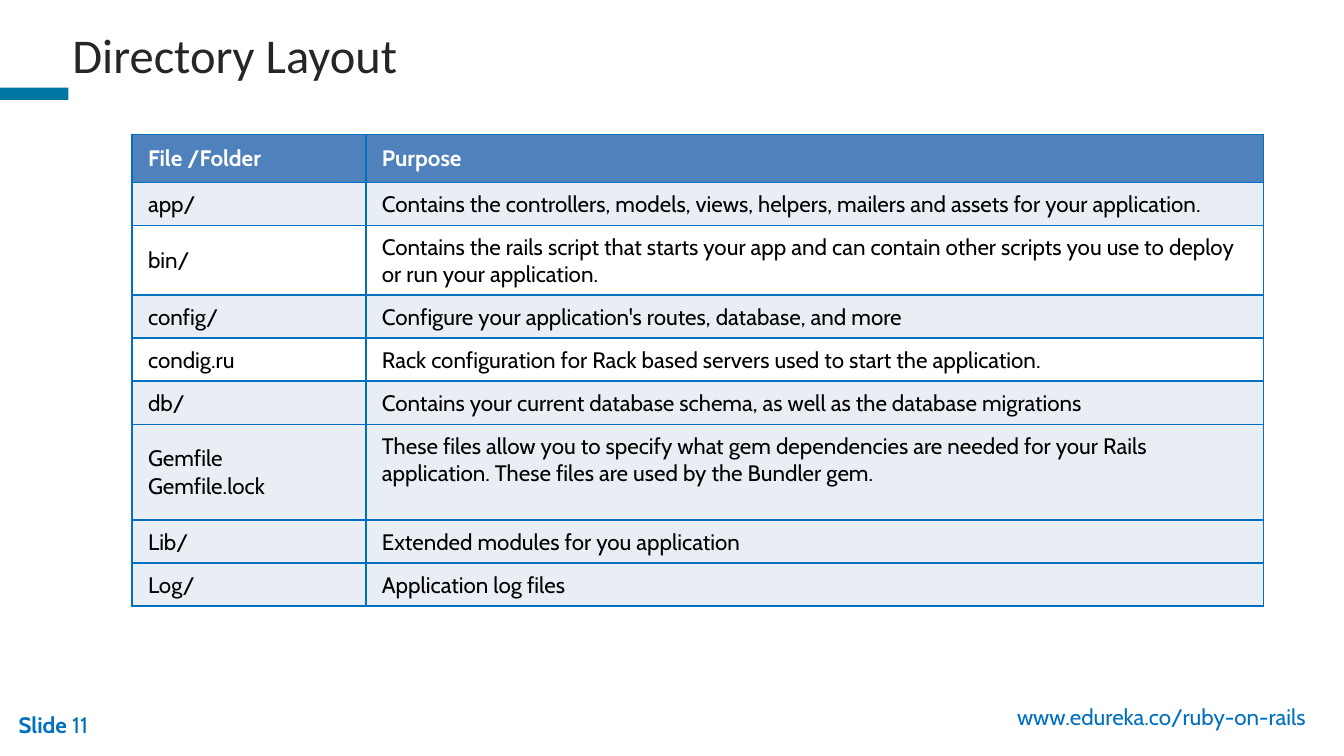
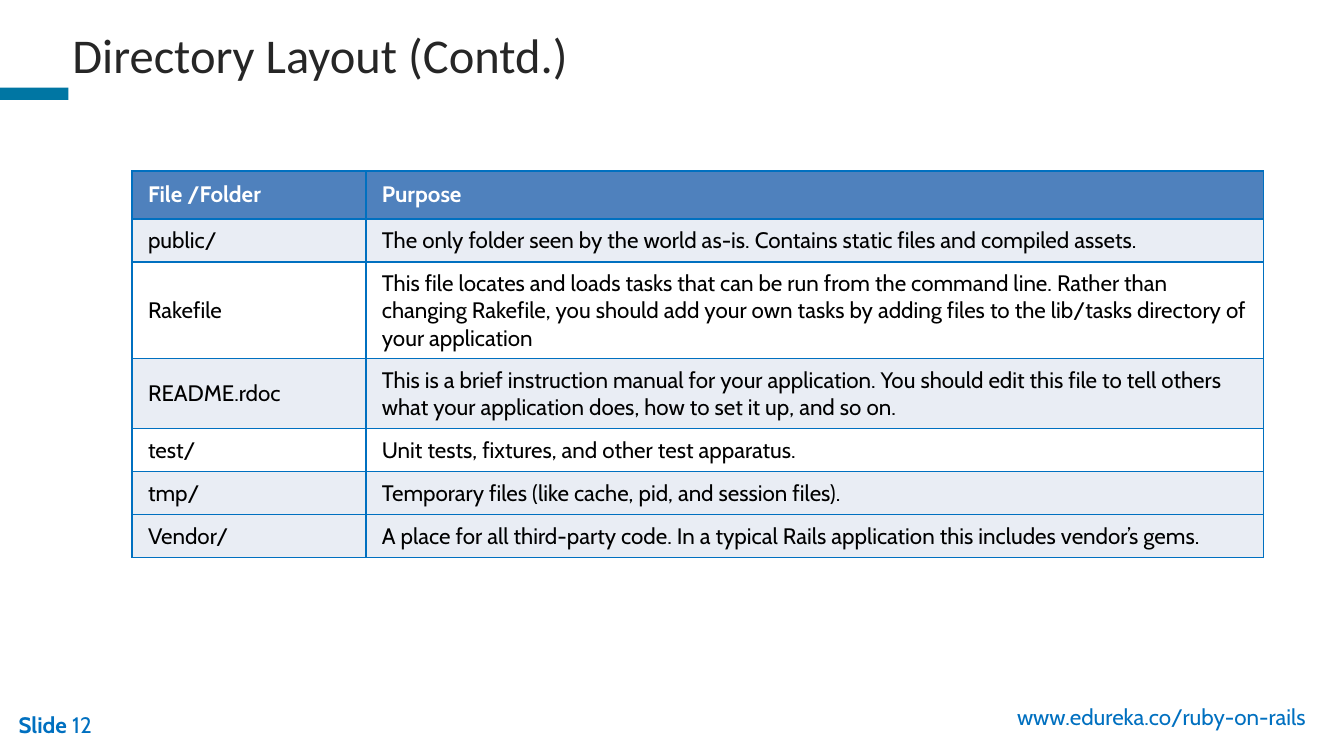
from lxml.etree import SubElement
from pptx import Presentation
from pptx.dml.color import RGBColor
from pptx.enum.shapes import MSO_SHAPE
from pptx.enum.text import MSO_ANCHOR, MSO_AUTO_SIZE
from pptx.oxml.ns import qn
from pptx.util import Pt

WHITE = RGBColor(0xFF, 0xFF, 0xFF)
BLACK = RGBColor(0x00, 0x00, 0x00)
TITLE_GREY = RGBColor(0x26, 0x26, 0x26)
TEAL = RGBColor(0x00, 0x76, 0xA3)
BLUE = RGBColor(0x00, 0x70, 0xC0)
HEADER_BLUE = RGBColor(0x4F, 0x81, 0xBD)
PALE = RGBColor(0xE9, 0xED, 0xF4)

TITLE_FONT, BODY_FONT = "Calibri", "Cabin"
SLIDE_W, SLIDE_H = 720, 405
TITLE_BOX = (31.7, 8.6, 368, 41)
BAR_BOX = (0, 47, 36.7, 6.5)
NUMBER_BOX = (2.9, 377.3, 113.8, 21.6)
SITE_BOX = (537.8, 373, 182.2, 21.6)
TABLE_LEFT, COL_WIDTHS = 70.7, (125.3, 481)
HEADER_H, ROW_H, TALL_ROW_H = 25.7, 23, 51.4
WHITE_ROWS = (2, 4)

HEADINGS = ("File /Folder", "Purpose")
FOLDERS = [
    ("app/", "Contains the controllers, models, views, helpers, mailers and assets for your application."),
    ("bin/", "Contains the rails script that starts your app and can contain other scripts "
             "you use to deploy or run your application."),
    ("config/", "Configure your application's routes, database, and more"),
    ("condig.ru", "Rack configuration for Rack based servers used to start the application."),
    ("db/", "Contains your current database schema, as well as the database migrations"),
    ("Gemfile\nGemfile.lock", "These files allow you to specify what gem dependencies are needed for your Rails "
                              "application. These files are used by the Bundler gem."),
    ("Lib/", "Extended modules for you application"),
    ("Log/", "Application log files"),
]
MORE_FOLDERS = [
    ("public/", "The only folder seen by the world as-is. Contains static files and compiled assets."),
    ("Rakefile", "This file locates and loads tasks that can be run from the command line. Rather than "
                 "changing Rakefile, you should add your own tasks by adding files to the lib/tasks "
                 "directory of your application"),
    ("README.rdoc", "This is a brief instruction manual for your application. You should edit this file "
                    "to tell others what your application does, how to set it up, and so on."),
    ("test/", "Unit tests, fixtures, and other test apparatus."),
    ("tmp/", "Temporary files (like cache, pid, and session files)."),
    ("Vendor/", "A place for all third-party code. In a typical Rails application this includes vendor’s gems."),
]


def style_run(r, size, name, color, bold=False):
    """Set the font of one run."""
    r.font.size, r.font.name, r.font.bold = Pt(size), name, bold
    r.font.color.rgb = color


def add_text(s, box, parts, size, name, color, wrap=True):
    """Place a one-line text box from (text, bold) parts."""
    tf = s.shapes.add_textbox(*map(Pt, box)).text_frame
    tf.word_wrap = wrap
    for text, bold in parts:
        r = tf.paragraphs[0].add_run()
        r.text = text
        style_run(r, size, name, color, bold)
    return tf


def add_title(s, title):
    """Add the title and the accent bar beside it."""
    bar = s.shapes.add_shape(MSO_SHAPE.RECTANGLE, *map(Pt, BAR_BOX))
    bar.shadow.inherit = False
    bar.fill.solid()
    bar.fill.fore_color.rgb = TEAL
    bar.line.fill.background()
    tf = add_text(s, TITLE_BOX, [(title, False)], 26, TITLE_FONT, TITLE_GREY)
    tf.vertical_anchor = MSO_ANCHOR.MIDDLE


def add_footer(s, number):
    """Add the slide number and the site address."""
    number_tf = add_text(s, NUMBER_BOX, [("Slide ", True), (str(number), False)], 12, BODY_FONT, BLUE)
    site_tf = add_text(s, SITE_BOX, [("www.edureka.co/ruby-on-rails", False)], 12, BODY_FONT, BLUE, wrap=False)
    for tf in (number_tf, site_tf):
        tf.auto_size = MSO_AUTO_SIZE.SHAPE_TO_FIT_TEXT


def add_borders(cell):
    """Draw a one-point blue line on all four sides of a cell."""
    tc_pr = cell._tc.get_or_add_tcPr()
    for side in ("a:lnL", "a:lnR", "a:lnT", "a:lnB"):
        ln = SubElement(tc_pr, qn(side), w=str(Pt(1)))
        fill = SubElement(ln, qn("a:solidFill"))
        SubElement(fill, qn("a:srgbClr"), val=str(BLUE))


def fill_cell(cell, text, fill, color, bold):
    """Write and format one table cell."""
    cell.text = text
    cell.vertical_anchor = MSO_ANCHOR.MIDDLE
    cell.margin_left = cell.margin_right = Pt(8.64)
    cell.margin_top = cell.margin_bottom = Pt(4.32)
    add_borders(cell)
    cell.fill.solid()
    cell.fill.fore_color.rgb = fill
    for p in cell.text_frame.paragraphs:
        for r in p.runs:
            style_run(r, 12, BODY_FONT, color, bold)


def add_folder_table(s, top, folders):
    """Add the table of folders and their purposes."""
    rows = [HEADINGS, *folders]
    heights = [HEADER_H] + [TALL_ROW_H if "\n" in name else ROW_H for name, _ in folders]
    box = (TABLE_LEFT, top, sum(COL_WIDTHS), sum(heights))
    table = s.shapes.add_table(len(rows), len(HEADINGS), *map(Pt, box)).table
    table.horz_banding = False
    for column, width in zip(table.columns, COL_WIDTHS):
        column.width = Pt(width)
    for i, (row, height) in enumerate(zip(rows, heights)):
        table.rows[i].height = Pt(height)
        header = i == 0
        fill = HEADER_BLUE if header else WHITE if i in WHITE_ROWS else PALE
        for j, text in enumerate(row):
            fill_cell(table.cell(i, j), text, fill, WHITE if header else BLACK, header)
        if height == TALL_ROW_H:
            table.cell(i, 1).vertical_anchor = MSO_ANCHOR.TOP


def add_directory_slide(prs, number, title, top, folders):
    """Build one directory layout slide."""
    s = prs.slides.add_slide(prs.slide_layouts[6])
    add_title(s, title)
    add_footer(s, number)
    add_folder_table(s, top, folders)


def main():
    """Build and save the presentation."""
    prs = Presentation()
    prs.slide_width, prs.slide_height = Pt(SLIDE_W), Pt(SLIDE_H)
    add_directory_slide(prs, 11, "Directory Layout", 72, FOLDERS)
    add_directory_slide(prs, 12, "Directory Layout (Contd.)", 91.5, MORE_FOLDERS)
    prs.save("out.pptx")


if __name__ == "__main__":
    main()
